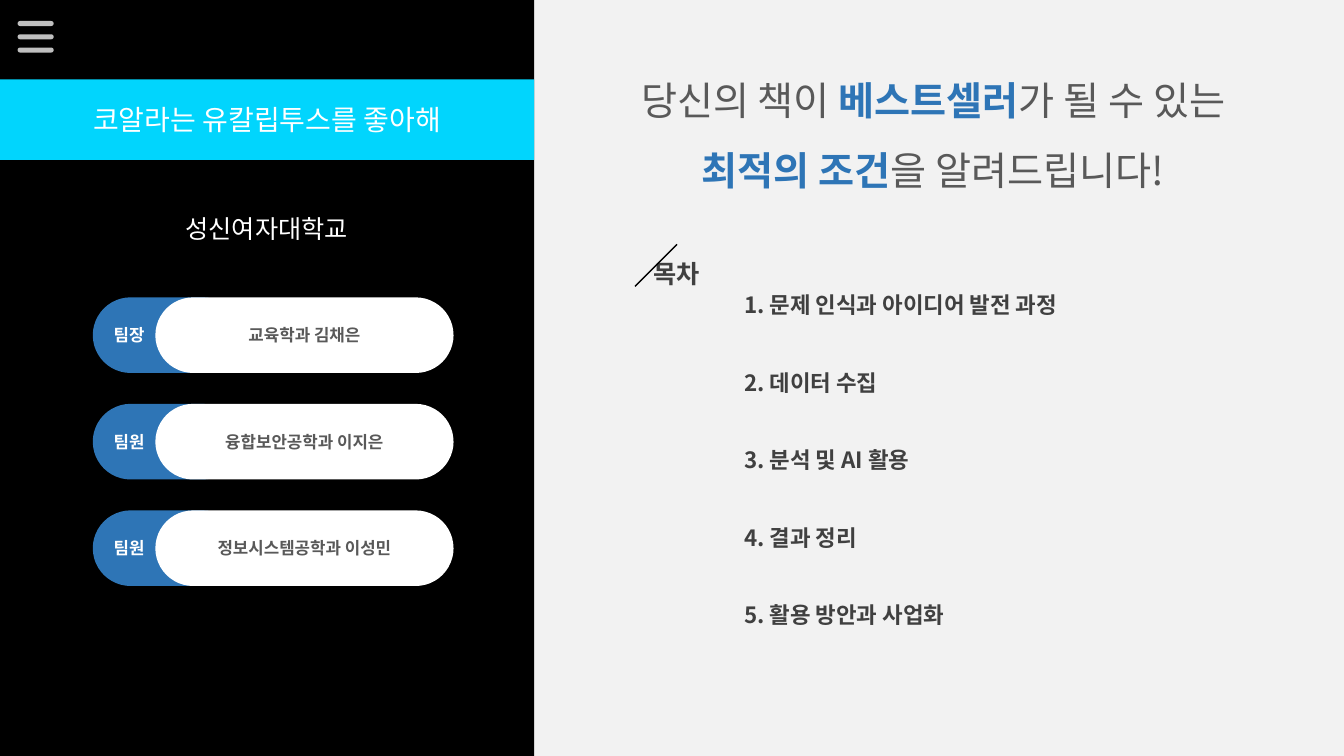
from dataclasses import dataclass

from lxml.etree import SubElement
from pptx import Presentation
from pptx.dml.color import RGBColor
from pptx.enum.shapes import MSO_CONNECTOR as LINE, MSO_SHAPE as SHAPE
from pptx.enum.text import MSO_ANCHOR as ANCHOR, MSO_AUTO_SIZE as FIT, PP_ALIGN as ALIGN
from pptx.oxml.ns import qn
from pptx.util import Inches, Pt

COLS, ROWS = 160, 90


@dataclass(frozen=True)
class Theme:
    font: str = "Noto Sans CJK KR"
    paper: str = "F2F2F2"
    black: str = "000000"
    white: str = "FFFFFF"
    cyan: str = "01D5FD"
    blue: str = "2E75B6"
    silver: str = "BFBFBF"
    grey: str = "595959"
    dark: str = "404040"
    headline: int = 28
    band: int = 20
    label: int = 18
    item: int = 16
    pill: int = 12


class Deck:
    """Places elements on a grid of COLS by ROWS cells."""

    def __init__(self, theme):
        self.theme = theme
        self.prs = Presentation()
        self.prs.slide_width, self.prs.slide_height = Inches(13.33), Inches(7.5)
        self.s = self.prs.slides.add_slide(self.prs.slide_layouts[5])
        self.paint(self.s.background.fill, theme.paper)

    def paint(self, fill, color):
        fill.solid()
        fill.fore_color.rgb = RGBColor.from_string(color)

    def cells(self, x, y, w, h):
        """Turn columns and rows into slide lengths."""
        col, row = self.prs.slide_width / COLS, self.prs.slide_height / ROWS
        return [round(v * unit) for v, unit in zip((x, y, w, h), (col, row, col, row))]

    def fill_text(self, tf, paragraphs, size, align=ALIGN.LEFT, anchor=ANCHOR.TOP,
                  wrap=True, **spacing):
        """Fill a frame with paragraphs, each a list of (text, color, bold)."""
        frame = dict(word_wrap=wrap, auto_size=FIT.NONE, vertical_anchor=anchor)
        for name, value in frame.items():
            setattr(tf, name, value)
        for i, runs in enumerate(paragraphs):
            p = tf.add_paragraph() if i else tf.paragraphs[0]
            for name, value in dict(alignment=align, **spacing).items():
                setattr(p, name, value)
            for text, color, bold in runs:
                r = p.add_run()
                r.text = text
                for name, value in dict(name=self.theme.font, size=Pt(size), bold=bold).items():
                    setattr(r.font, name, value)
                r.font.color.rgb = RGBColor.from_string(color)
                SubElement(r.font._element, qn("a:ea"), typeface=self.theme.font)

    def title(self, box, runs, size, **style):
        sp = self.s.shapes.title
        for name, value in zip(("left", "top", "width", "height"), self.cells(*box)):
            setattr(sp, name, value)
        self.fill_text(sp.text_frame, [runs], size, **style)

    def text(self, box, paragraphs, size, **style):
        sp = self.s.shapes.add_textbox(*self.cells(*box))
        self.fill_text(sp.text_frame, paragraphs, size, **style)

    def shape(self, kind, box, color, runs=(), size=12, align=ALIGN.CENTER):
        sp = self.s.shapes.add_shape(kind, *self.cells(*box))
        sp.shadow.inherit = False
        sp.line.fill.background()
        self.paint(sp.fill, color)
        if kind == SHAPE.ROUNDED_RECTANGLE:
            sp.adjustments[0] = 0.5
        if runs:
            self.fill_text(sp.text_frame, [runs], size, align, ANCHOR.MIDDLE)
        return sp

    def line(self, x1, y1, x2, y2, color, width):
        ends = self.cells(x1, y1, x2, y2)
        c = self.s.shapes.add_connector(LINE.STRAIGHT, *ends)
        c.line.width = Pt(width)
        c.line.color.rgb = RGBColor.from_string(color)
        SubElement(c._element.spPr, qn("a:effectLst"))


def draw_team_panel(deck, t):
    deck.shape(SHAPE.RECTANGLE, (0, 0, 63.6, ROWS), t.black)
    deck.shape(SHAPE.RECTANGLE, (0, 9.45, 63.6, 9.6), t.cyan,
               [("코알라는 유칼립투스를 좋아해", t.white, False)], t.band)
    for i in range(3):
        deck.shape(SHAPE.ROUNDED_RECTANGLE, (2.1, 2.5 + 1.58 * i, 4.3, 0.6), t.silver)
    deck.text((20.9, 24.8, 21.7, 4.8), [[("성신여자대학교", t.white, False)]], t.label,
              align=ALIGN.CENTER, wrap=False)
    team = [("팀장", "교육학과 김채은"),
            ("팀원", "융합보안공학과 이지은"),
            ("팀원", "정보시스템공학과 이성민")]
    for i, (role, member) in enumerate(team):
        y = 35.4 + 12.68 * i
        deck.shape(SHAPE.ROUNDED_RECTANGLE, (11.05, y, 17.6, 9), t.blue,
                   [(role, t.white, True)], t.pill, ALIGN.LEFT)
        deck.shape(SHAPE.ROUNDED_RECTANGLE, (18.5, y, 35.5, 9), t.white,
                   [(member, t.grey, True)], t.pill)


def draw_agenda(deck, t):
    headline = [("당신의 책이 ", t.grey, False), ("베스트셀러", t.blue, True),
                ("가 될 수 있는 ", t.grey, False), ("최적의 조건", t.blue, True),
                ("을 알려드립니다!", t.grey, False)]
    deck.title((69.5, 5.64, 83.2, 18.1), headline, t.headline,
               align=ALIGN.CENTER, line_spacing=1.5)
    topics = ["문제 인식과 아이디어 발전 과정", "데이터 수집", "분석 및 AI 활용",
              "결과 정리", "활용 방안과 사업화"]
    items = [[(f"{n}. {topic}", t.dark, True)] for n, topic in enumerate(topics, 1)]
    deck.text((87.4, 32.5, 57.7, 52.7), items, t.item,
              line_spacing=1.5, space_after=Pt(26.6))
    deck.text((76.6, 30.2, 7.9, 4.8), [[("목차", t.dark, True)]], t.label, wrap=False)
    corner = deck.shape(SHAPE.RIGHT_TRIANGLE, (75.5, 29.05, 5, 5), t.paper)
    corner.rotation = 90
    deck.line(75.6, 34.1, 80.6, 29.1, t.black, 1)


def main():
    theme = Theme()
    deck = Deck(theme)
    draw_team_panel(deck, theme)
    draw_agenda(deck, theme)
    deck.prs.save("out.pptx")


if __name__ == "__main__":
    main()
